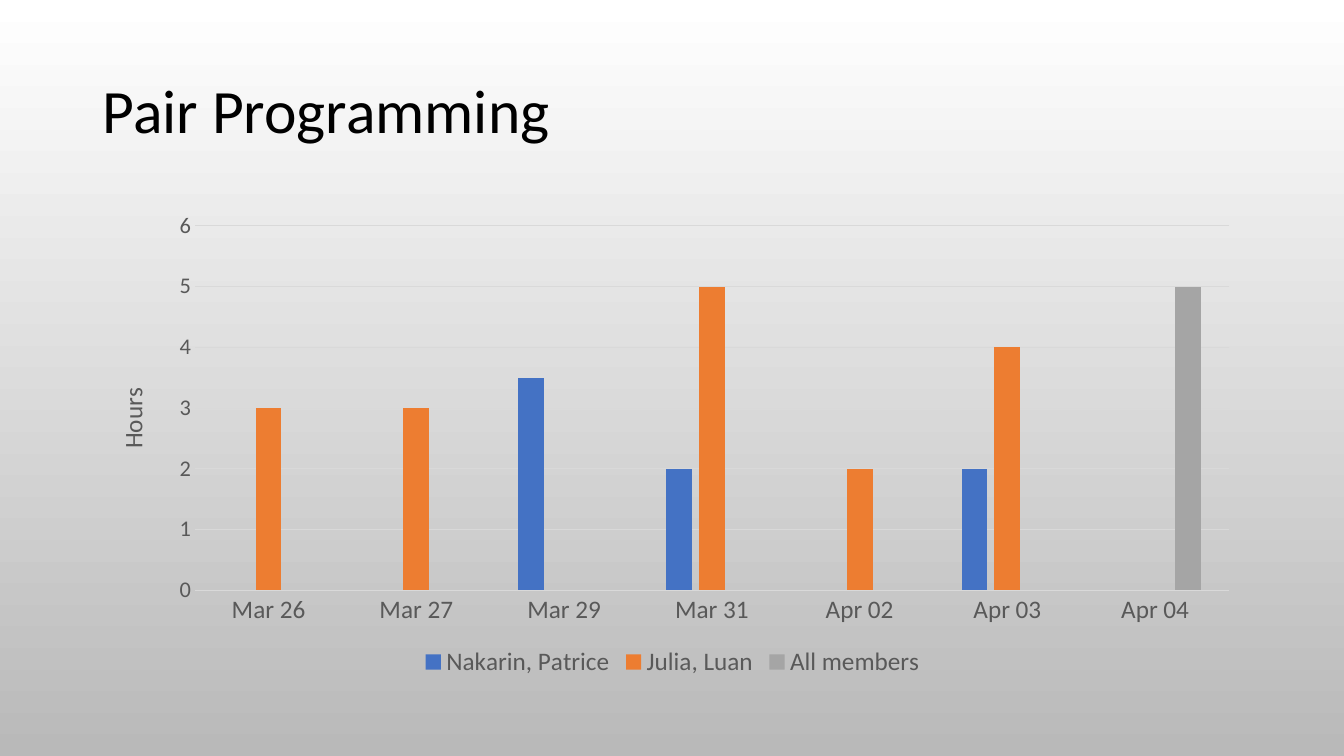
from pptx import Presentation
from pptx.chart.data import CategoryChartData
from pptx.dml.color import RGBColor
from pptx.enum.chart import XL_CHART_TYPE, XL_LEGEND_POSITION, XL_TICK_MARK
from pptx.enum.text import MSO_ANCHOR
from pptx.util import Inches, Pt

FONT, TEXT, RULE = "Calibri", "595959", "D9D9D9"
DATES = ["Mar 26", "Mar 27", "Mar 29", "Mar 31", "Apr 02", "Apr 03", "Apr 04"]
PAIRS = [
    ("Nakarin, Patrice", "4472C4", [None, None, 3.5, 2, None, 2, None]),
    ("Julia, Luan", "ED7D31", [3, 3, None, 5, 2, 4, None]),
    ("All members", "A5A5A5", [None] * 6 + [5]),
]


def rgb(color):
    return RGBColor.from_string(color)


def style_font(font, size, color=TEXT):
    font.name, font.size, font.bold = FONT, Pt(size), False
    font.color.rgb = rgb(color)


def style_line(line):
    line.color.rgb = rgb(RULE)
    line.width = Pt(0.75)


def add_background(s):
    fill = s.background.fill
    fill.gradient()
    fill.gradient_angle = 270  # counter-clockwise, so top to bottom
    for stop, position, color in zip(fill.gradient_stops, (0, 1), ("FFFFFF", "B9B9B9")):
        stop.position = position
        stop.color.rgb = rgb(color)


def add_title(s, box, text):
    tf = s.shapes.add_textbox(*box).text_frame
    tf.word_wrap = True
    tf.vertical_anchor = MSO_ANCHOR.MIDDLE
    p = tf.paragraphs[0]
    p.line_spacing = 0.9
    r = p.add_run()
    r.text = text
    style_font(r.font, 44, "000000")


def add_hours_chart(s, box):
    data = CategoryChartData()
    data.categories = DATES
    for name, _, hours in PAIRS:
        data.add_series(name, hours)
    chart = s.shapes.add_chart(XL_CHART_TYPE.COLUMN_CLUSTERED, *box, data).chart
    style_font(chart.font, 10, "000000")
    chart.has_title = False

    # Columns
    plot = chart.plots[0]
    plot.gap_width, plot.overlap, plot.vary_by_categories = 219, -27, False
    for series, (_, color, _) in zip(plot.series, PAIRS):
        series.format.fill.solid()
        series.format.fill.fore_color.rgb = rgb(color)

    # Axes
    dates, hours = chart.category_axis, chart.value_axis
    for axis, size in ((dates, 18), (hours, 16)):
        axis.major_tick_mark = axis.minor_tick_mark = XL_TICK_MARK.NONE
        style_font(axis.tick_labels.font, size)
    style_line(dates.format.line)
    hours.format.line.fill.background()
    hours.minimum_scale, hours.maximum_scale, hours.major_unit = 0, 6, 1
    style_line(hours.major_gridlines.format.line)
    r = hours.axis_title.text_frame.paragraphs[0].add_run()
    r.text = "Hours"
    style_font(r.font, 18)

    # Legend
    chart.has_legend = True
    chart.legend.position = XL_LEGEND_POSITION.BOTTOM
    chart.legend.include_in_layout = False
    style_font(chart.legend.font, 18)


def build_slide(prs):
    s = prs.slides.add_slide(prs.slide_layouts[6])
    left, width = Inches(0.92), Inches(11.5)
    add_background(s)
    add_title(s, (left, Inches(0.4), width, Inches(1.45)), "Pair Programming")
    add_hours_chart(s, (left, Inches(2.01), width, Inches(4.76)))


prs = Presentation()
prs.slide_width, prs.slide_height = Inches(13.33), Inches(7.5)
build_slide(prs)
prs.save("out.pptx")
